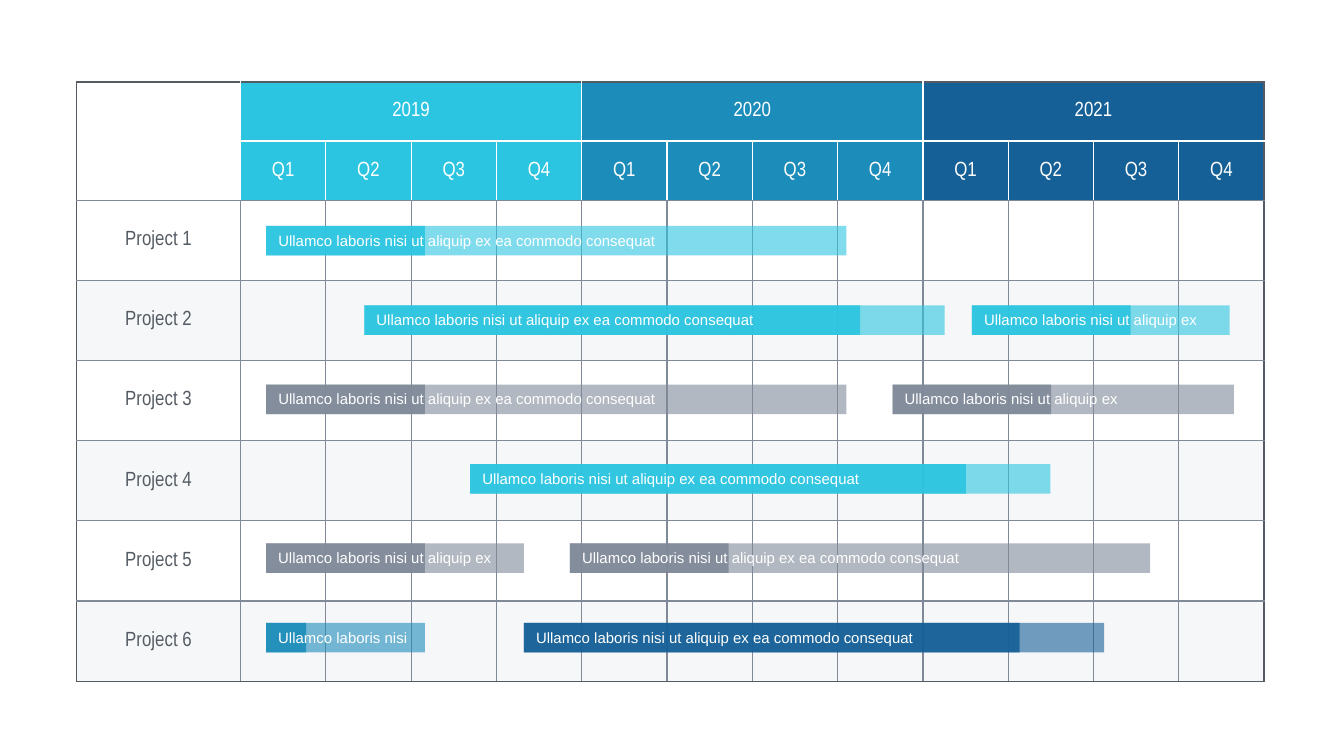
from dataclasses import dataclass

from lxml import etree
from pptx import Presentation
from pptx import util as u
from pptx.dml.color import RGBColor
from pptx.enum import shapes, text
from pptx.oxml.ns import qn


@dataclass(frozen=True)
class Theme:
    white: str = "FFFFFF"
    band: str = "EEF0F4"
    cyan: str = "2CC5E1"
    blue: str = "1C8CBA"
    navy: str = "156097"
    gray: str = "7F8998"
    dark: str = "545B63"
    table_font: str = "Arial Narrow"
    bar_font: str = "Arial"
    table_size: int = 11
    bar_size: int = 8
    line_width: float = 0.75


THEME = Theme()
NO_STYLE = "{2D5ABB26-0587-4C30-8999-92F81FD0307C}"

# Grid, in inches
LEFT, TOP = 0.57, 0.61
LABEL_WIDTH, HEADER_HEIGHT = 1.22, 0.44
QUARTER = 7.62 / 12
ROW = 3.58 / 6
BODY_LEFT = LEFT + LABEL_WIDTH
BODY_TOP = TOP + 2 * HEADER_HEIGHT

# Bars, in rows: offset of the first one, distance between bars
BAR_OFFSET, BAR_STEP = 0.32, 0.99
BAR_HEIGHT = 0.22

YEARS = [("2019", THEME.cyan), ("2020", THEME.blue), ("2021", THEME.navy)]
PROJECTS = [f"Project {number}" for number in range(1, 7)]
SHORT = "Ullamco laboris nisi"
MEDIUM = SHORT + " ut aliquip ex"
LONG = MEDIUM + " ea commodo consequat"

# Project row, start, length and finished part in quarters, colour, label
BARS = [
    (0, 0.30, 6.80, 1.86, THEME.cyan, LONG),
    (5, 0.30, 1.86, 0.47, THEME.blue, SHORT),
    (1, 1.45, 6.80, 5.81, THEME.cyan, LONG),
    (2, 0.30, 6.80, 1.86, THEME.gray, LONG),
    (3, 2.69, 6.80, 5.81, THEME.cyan, LONG),
    (2, 7.64, 4.00, 1.86, THEME.gray, MEDIUM),
    (4, 0.30, 3.02, 1.86, THEME.gray, MEDIUM),
    (1, 8.57, 3.02, 1.86, THEME.cyan, MEDIUM),
    (5, 3.32, 6.80, 5.81, THEME.navy, LONG),
    (4, 3.86, 6.80, 1.86, THEME.gray, LONG),
]
LABEL_WIDTHS = {SHORT: 1.13, MEDIUM: 1.87, LONG: 3.11}


class RoadmapBuilder:
    def __init__(self, slide, theme):
        self.slide = slide
        self.theme = theme

    def paint(self, fill, color, opacity=100):
        fill.solid()
        fill.fore_color.rgb = RGBColor.from_string(color)
        if opacity < 100:
            color_element = fill._xPr.find(qn("a:solidFill"))[0]
            etree.SubElement(color_element, qn("a:alpha"), val=str(opacity * 1000))

    def set_text(self, holder, words, font_name, size, color, alignment):
        """Fill a cell or a text frame with one paragraph."""
        holder.margin_left = holder.margin_right = u.Inches(0.04)
        holder.margin_top = holder.margin_bottom = u.Inches(0.02)
        frame = getattr(holder, "text_frame", holder)
        paragraph = frame.paragraphs[0]
        paragraph.text = words
        paragraph.alignment = alignment
        paragraph.font.name = font_name
        paragraph.font.size = u.Pt(size)
        paragraph.font.color.rgb = RGBColor.from_string(color)

    def border(self, cell, side, color):
        line = etree.SubElement(cell._tc.get_or_add_tcPr(), qn(f"a:ln{side}"),
                                w=str(u.Pt(self.theme.line_width)))
        fill = etree.SubElement(line, qn("a:solidFill"))
        etree.SubElement(fill, qn("a:srgbClr"), val=color)

    def cell_borders(self, cell, row, column):
        theme = self.theme
        inner = theme.white if row < 2 else theme.gray
        vertical = {0: theme.dark, 13: theme.dark}
        horizontal = {0: theme.dark, 1: theme.white, 8: theme.dark}
        self.border(cell, "L", vertical.get(column, inner))
        self.border(cell, "R", vertical.get(column + cell.span_width, inner))
        self.border(cell, "T", horizontal.get(row, theme.gray))
        self.border(cell, "B", horizontal.get(row + cell.span_height, theme.gray))

    def cell_content(self, row, column):
        """Return label, text colour, fill colour and opacity of a cell."""
        theme = self.theme
        if row < 2:
            if column == 0:
                return "", theme.white, theme.white, 100
            year, color = YEARS[(column - 1) // 4]
            label = f"Q{(column - 1) % 4 + 1}" if row else year
            return label, theme.white, color, 100
        label = "" if column else PROJECTS[row - 2]
        if row % 2:
            return label, theme.dark, theme.band, 50
        return label, theme.dark, theme.white, 100

    def timetable(self):
        frame = self.slide.shapes.add_table(
            8, 13, u.Inches(LEFT), u.Inches(TOP),
            u.Inches(LABEL_WIDTH + 12 * QUARTER), u.Inches(2 * HEADER_HEIGHT + 6 * ROW))
        table = frame.table
        table.first_row = table.horz_banding = False
        table._tbl.tblPr.find(qn("a:tableStyleId")).text = NO_STYLE
        for index, column in enumerate(table.columns):
            column.width = u.Inches(QUARTER if index else LABEL_WIDTH)
        for index, row in enumerate(table.rows):
            row.height = u.Inches(HEADER_HEIGHT if index < 2 else ROW)

        # Empty corner and one heading over the quarters of each year
        table.cell(0, 0).merge(table.cell(1, 0))
        for first in (1, 5, 9):
            table.cell(0, first).merge(table.cell(0, first + 3))

        for row in range(8):
            for column in range(13):
                cell = table.cell(row, column)
                if cell.is_spanned:
                    continue
                label, text_color, fill_color, opacity = self.cell_content(row, column)
                self.cell_borders(cell, row, column)
                self.paint(cell.fill, fill_color, opacity)
                cell.vertical_anchor = text.MSO_ANCHOR.MIDDLE
                self.set_text(cell, label, self.theme.table_font, self.theme.table_size,
                              text_color, text.PP_ALIGN.CENTER)

    def bar(self, row, start, length, done, color, label):
        group = self.slide.shapes.add_group_shape()
        left = BODY_LEFT + start * QUARTER
        top = BODY_TOP + (BAR_OFFSET + row * BAR_STEP) * ROW
        for quarters, opacity in ((length, 60), (done, 90)):
            shape = group.shapes.add_shape(
                shapes.MSO_SHAPE.RECTANGLE, u.Inches(left), u.Inches(top),
                u.Inches(quarters * QUARTER), u.Inches(BAR_HEIGHT))
            shape.shadow.inherit = False
            shape.line.fill.background()
            self.paint(shape.fill, color, opacity)
        box = group.shapes.add_textbox(
            u.Inches(left + 0.05), u.Inches(top + 0.02),
            u.Inches(LABEL_WIDTHS[label]), u.Inches(0.18))
        box.text_frame.word_wrap = True
        self.set_text(box.text_frame, label, self.theme.bar_font, self.theme.bar_size,
                      self.theme.white, text.PP_ALIGN.LEFT)


def main():
    presentation = Presentation()
    presentation.slide_width = u.Inches(10)
    presentation.slide_height = u.Inches(10 * 9 / 16)
    slide = presentation.slides.add_slide(presentation.slide_layouts[6])
    builder = RoadmapBuilder(slide, THEME)

    # Table of years, quarters and projects
    builder.timetable()

    # Progress bars
    for bar in BARS:
        builder.bar(*bar)

    presentation.save("out.pptx")


if __name__ == "__main__":
    main()
